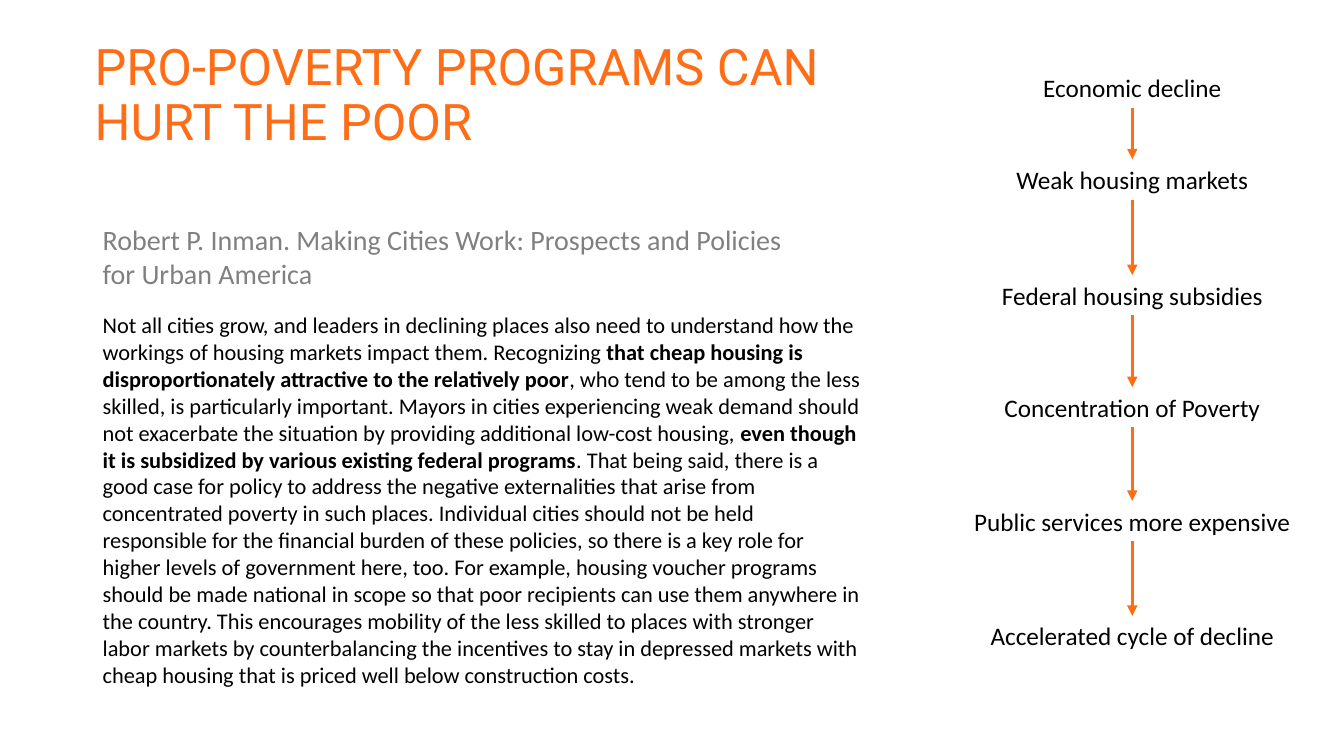
from lxml import etree
from pptx import Presentation
from pptx.dml.color import RGBColor
from pptx.enum import shapes, text
from pptx.oxml.ns import qn
from pptx.util import Inches, Pt

ORANGE = RGBColor(0xFF, 0x6D, 0x16)
GREY = RGBColor(0x80, 0x80, 0x80)
BLACK = RGBColor(0, 0, 0)

deck = Presentation()
deck.slide_width, deck.slide_height = Inches(13.33), Inches(7.5)
page = deck.slides.add_slide(deck.slide_layouts[6])


def add_text(place, spans, size, color, font="Calibri", wrap=True):
    """Add a one-paragraph text box and return its paragraph."""
    box = page.shapes.add_textbox(*(Inches(length) for length in place))
    box.text_frame.word_wrap = wrap
    para = box.text_frame.paragraphs[0]
    para.text = spans[0]
    for wording in spans[1:]:
        para.add_run().text = wording
    for span in para.runs:
        for name, value in {"name": font, "size": Pt(size)}.items():
            setattr(span.font, name, value)
        span.font.color.rgb = color
    return para


title = add_text((0.84, 0.37, 11.5, 1.45),
                 ["PRO-POVERTY PROGRAMS CAN \vHURT THE POOR"], 36, ORANGE, "Roboto")
title.line_spacing = 0.9

add_text((0.92, 2.16, 6.98, 0.77),
         ["Robert P. Inman. Making Cities Work: Prospects and Policies for Urban America"],
         20, GREY)

body = add_text((0.92, 3.04, 7.72, 3.87), [
    "Not all cities grow, and leaders in declining places also need to understand how the "
    "workings of housing markets impact them. Recognizing ",
    "that cheap housing is disproportionately attractive to the relatively poor",
    ", who tend to be among the less skilled, is particularly important. Mayors in cities "
    "experiencing weak demand should not exacerbate the situation by providing additional "
    "low-cost housing, ",
    "even though it is subsidized by various existing federal programs",
    ". That being said, there is a good case for policy to address the negative externalities "
    "that arise from concentrated poverty in such places. Individual cities should not be held "
    "responsible for the financial burden of these policies, so there is a key role for higher "
    "levels of government here, too. For example, housing voucher programs should be made "
    "national in scope so that poor recipients can use them anywhere in the country. This "
    "encourages mobility of the less skilled to places with stronger labor markets by "
    "counterbalancing the incentives to stay in depressed markets with cheap housing that is "
    "priced well below construction costs.",
], 16, BLACK)
for span in body.runs[1::2]:
    span.font.bold = True

# Chain of causes: label, top and width, all centred on one axis
AXIS, STEP_HEIGHT = 11.23, 0.4
steps = [
    ("Economic decline", 0.67, 1.99),
    ("Weak housing markets", 1.58, 2.53),
    ("Federal housing subsidies", 2.73, 2.82),
    ("Concentration of Poverty", 3.84, 2.77),
    ("Public services more expensive", 4.97, 3.37),
    ("Accelerated cycle of decline", 6.11, 3.05),
]
for label, top, width in steps:
    para = add_text((AXIS - width / 2, top, width, STEP_HEIGHT), [label], 18, BLACK, wrap=False)
    para.alignment = text.PP_ALIGN.CENTER

for (_, top, _), (_, next_top, _) in zip(steps, steps[1:]):
    arrow = page.shapes.add_connector(
        shapes.MSO_CONNECTOR.STRAIGHT,
        Inches(AXIS), Inches(top + STEP_HEIGHT), Inches(AXIS), Inches(next_top))
    arrow.line.color.rgb = ORANGE
    arrow.line.width = Pt(2.5)
    etree.SubElement(arrow.line._get_or_add_ln(), qn("a:tailEnd"), type="triangle")
    etree.SubElement(arrow._element.spPr, qn("a:effectLst"))

deck.save("out.pptx")
